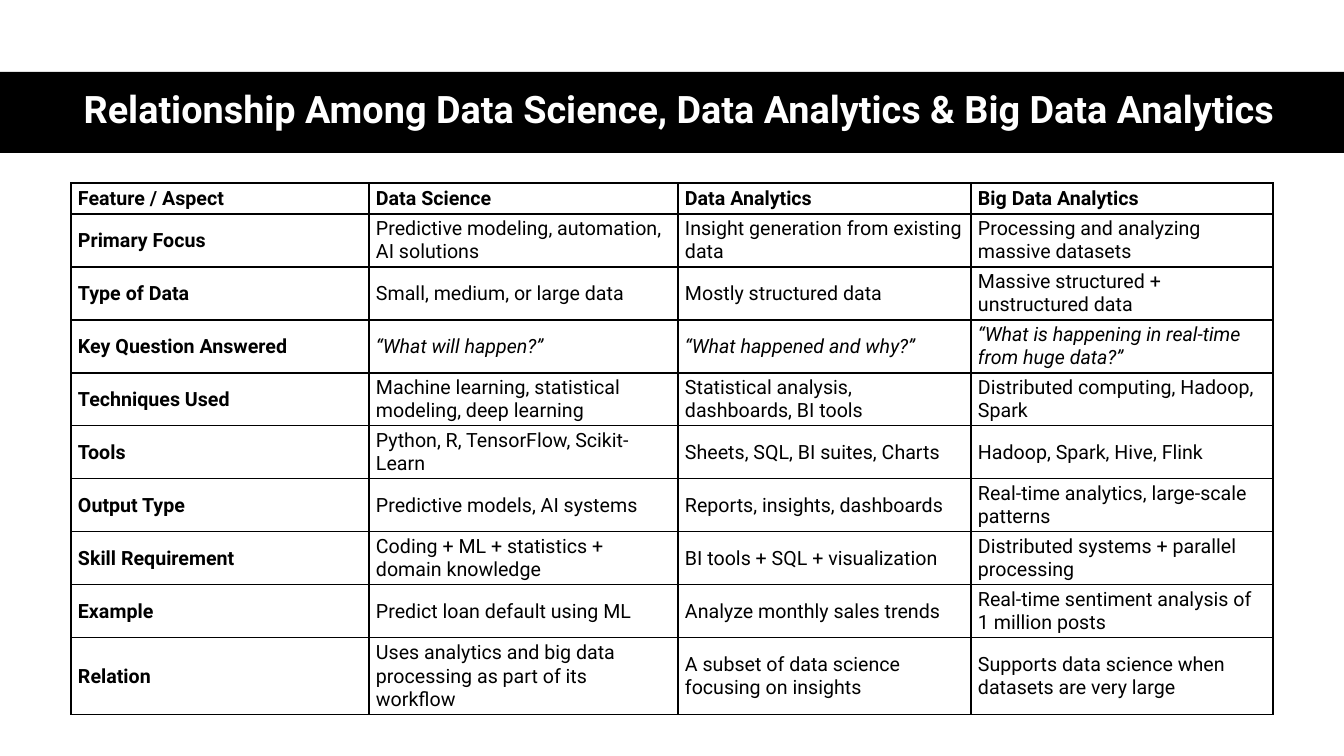
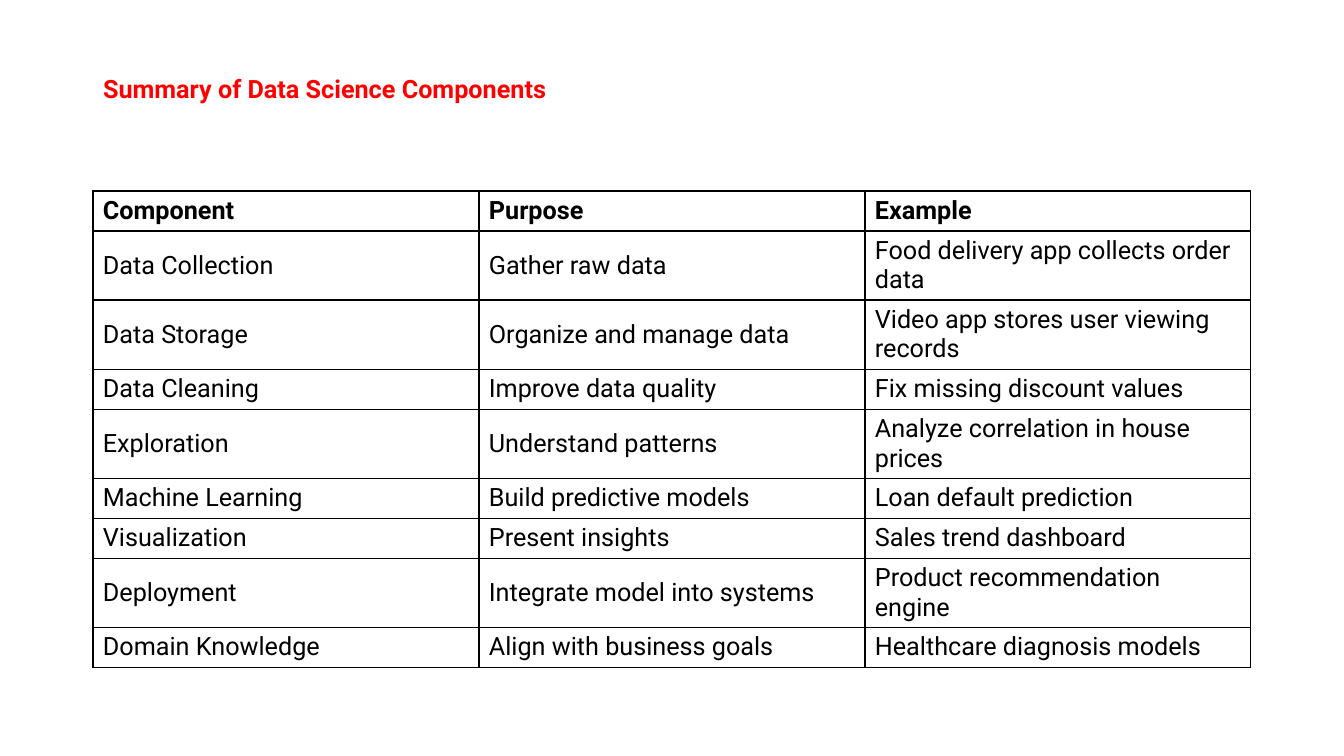
from dataclasses import dataclass

from pptx import Presentation
from pptx.dml.color import RGBColor
from pptx.enum.shapes import MSO_SHAPE
from pptx.enum.text import MSO_ANCHOR, MSO_AUTO_SIZE, PP_ALIGN
from pptx.oxml import parse_xml
from pptx.oxml.ns import nsdecls
from pptx.util import Emu, Pt

RECTANGLE = MSO_SHAPE.RECTANGLE
TOP, MIDDLE = MSO_ANCHOR.TOP, MSO_ANCHOR.MIDDLE
LEFT, CENTER = PP_ALIGN.LEFT, PP_ALIGN.CENTER
NO_AUTOFIT = MSO_AUTO_SIZE.NONE
EMU_PER_PX = 914400 / 100.8
TITLE_ONLY = 5


@dataclass(frozen=True)
class Theme:
    """Colours, font and type sizes of the deck."""
    font: str = "Roboto"
    ink: str = "000000"
    paper: str = "FFFFFF"
    accent: str = "FF0000"
    banner_size: int = 27
    text_size: int = 18
    dense_size: int = 14
    border: int = 1


THEME = Theme()

COMPARISON = [
    ("Feature / Aspect", "Data Science", "Data Analytics", "Big Data Analytics"),
    ("Primary Focus", "Predictive modeling, automation, AI solutions",
     "Insight generation from existing data", "Processing and analyzing massive datasets"),
    ("Type of Data", "Small, medium, or large data", "Mostly structured data",
     "Massive structured + unstructured data"),
    ("Key Question Answered", "“What will happen?”", "“What happened and why?”",
     "“What is happening in real-time from huge data?”"),
    ("Techniques Used", "Machine learning, statistical modeling, deep learning",
     "Statistical analysis, dashboards, BI tools", "Distributed computing, Hadoop, Spark"),
    ("Tools", "Python, R, TensorFlow, Scikit-Learn", "Sheets, SQL, BI suites, Charts",
     "Hadoop, Spark, Hive, Flink"),
    ("Output Type", "Predictive models, AI systems", "Reports, insights, dashboards",
     "Real-time analytics, large-scale patterns"),
    ("Skill Requirement", "Coding + ML + statistics + domain knowledge",
     "BI tools + SQL + visualization", "Distributed systems + parallel processing"),
    ("Example", "Predict loan default using ML", "Analyze monthly sales trends",
     "Real-time sentiment analysis of 1 million posts"),
    ("Relation", "Uses analytics and big data processing as part of its workflow",
     "A subset of data science focusing on insights",
     "Supports data science when datasets are very large"),
]

COMPONENTS = [
    ("Component", "Purpose", "Example"),
    ("Data Collection", "Gather raw data", "Food delivery app collects order data"),
    ("Data Storage", "Organize and manage data", "Video app stores user viewing records"),
    ("Data Cleaning", "Improve data quality", "Fix missing discount values"),
    ("Exploration", "Understand patterns", "Analyze correlation in house prices"),
    ("Machine Learning", "Build predictive models", "Loan default prediction"),
    ("Visualization", "Present insights", "Sales trend dashboard"),
    ("Deployment", "Integrate model into systems", "Product recommendation engine"),
    ("Domain Knowledge", "Align with business goals", "Healthcare diagnosis models"),
]


def px(length):
    """Turn a length in px into EMU."""
    return Emu(round(length * EMU_PER_PX))


def style_text(frame, size, color, bold=False, italic=False):
    """Give every run of a text frame the theme font and the given look."""
    for para in frame.paragraphs:
        for span in para.runs:
            font = span.font
            font.name, font.size = THEME.font, Pt(size)
            font.bold, font.italic = bold, italic
            font.color.rgb = RGBColor.from_string(color)


def add_title(page, text, box, size, color, align, anchor):
    """Place and format the title placeholder in its box."""
    title = page.shapes.title
    title.left, title.top, title.width, title.height = map(px, box)
    frame = title.text_frame
    frame.text = text
    frame.word_wrap = True
    frame.auto_size = NO_AUTOFIT
    frame.vertical_anchor = anchor
    frame.paragraphs[0].alignment = align
    style_text(frame, size, color, bold=True)
    return frame.paragraphs[0]


def add_band(page, box):
    """Draw a plain dark band behind everything else on the page."""
    band = page.shapes.add_shape(RECTANGLE, *map(px, box))
    band.shadow.inherit = False
    band.fill.solid()
    band.fill.fore_color.rgb = RGBColor.from_string(THEME.ink)
    band.line.fill.background()
    page.shapes.title._element.addprevious(band._element)


def add_borders(cell):
    """Draw a thin line on all four sides of a cell."""
    properties = cell._tc.get_or_add_tcPr()
    for side in "LRTB":
        properties.append(parse_xml(
            f'<a:ln{side} {nsdecls("a")} w="{Pt(THEME.border)}"><a:solidFill>'
            f'<a:srgbClr val="{THEME.ink}"/></a:solidFill></a:ln{side}>'))


def add_grid(page, rows, origin, widths, heights, size, insets, bold_column=False):
    """Build a ruled table from its top left corner with a bold header row."""
    box = (*origin, sum(widths), sum(heights))
    table = page.shapes.add_table(len(rows), len(widths), *map(px, box)).table
    table.first_row = table.horz_banding = False
    for column, width in zip(table.columns, widths):
        column.width = px(width)
    for row, height in zip(table.rows, heights):
        row.height = px(height)
    side, edge = map(px, insets)
    for row_index, texts in enumerate(rows):
        for column_index, text in enumerate(texts):
            cell = table.cell(row_index, column_index)
            cell.text = text
            cell.vertical_anchor = MIDDLE
            cell.margin_left = cell.margin_right = side
            cell.margin_top = cell.margin_bottom = edge
            add_borders(cell)
            cell.fill.background()
            bold = row_index == 0 or (bold_column and column_index == 0)
            style_text(cell.text_frame, size, THEME.ink, bold, text.startswith("“"))


def build_comparison(page):
    """Build the banner slide that compares three fields."""
    add_band(page, (0, 72, 1344, 81))
    heading = add_title(page, "Relationship Among Data Science, Data Analytics & Big Data Analytics",
                        (61, 71, 1236, 81), THEME.banner_size, THEME.paper, CENTER, MIDDLE)
    heading.line_spacing = 0.9
    heading.space_after = Pt(6)
    add_grid(page, COMPARISON, (71, 183), (298, 309, 293, 302), [31] + [53] * 8 + [77],
             THEME.dense_size, (7, 3), bold_column=True)


def build_summary(page):
    """Build the slide that lists components with purpose and example."""
    add_title(page, "Summary of Data Science Components", (93, 68, 671, 40),
              THEME.text_size, THEME.accent, LEFT, TOP)
    single, double = 40, 69
    heights = (single, double, double, single, double, single, single, double, single)
    add_grid(page, COMPONENTS, (93, 191), [386] * 3, heights, THEME.text_size, (10, 5))


def main():
    """Build and save the deck."""
    deck = Presentation()
    deck.slide_width, deck.slide_height = px(1344), px(756)
    for build in (build_comparison, build_summary):
        build(deck.slides.add_slide(deck.slide_layouts[TITLE_ONLY]))
    deck.save("out.pptx")


if __name__ == "__main__":
    main()
